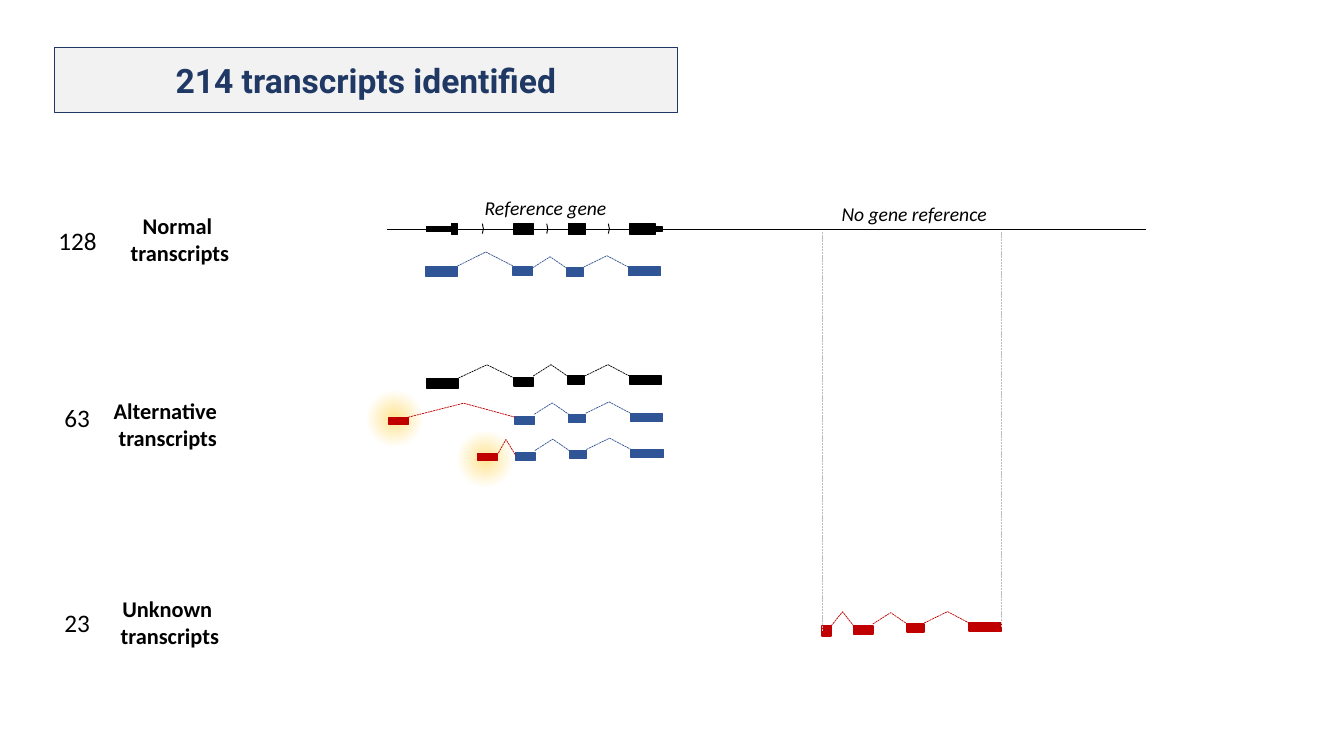
from dataclasses import dataclass

import pptx
import pptx.dml.color
import pptx.enum.dml
import pptx.enum.shapes
import pptx.enum.text
import pptx.oxml
import pptx.oxml.ns
import pptx.util

Pt = pptx.util.Pt
RGBColor = pptx.dml.color.RGBColor
Shape = pptx.enum.shapes.MSO_SHAPE
Align = pptx.enum.text.PP_ALIGN
AutoSize = pptx.enum.text.MSO_AUTO_SIZE

BLACK = RGBColor(0x00, 0x00, 0x00)
RED = RGBColor(0xC0, 0x00, 0x00)
BLUE = RGBColor(0x2F, 0x55, 0x97)
INTRON_BLUE = RGBColor(0x32, 0x54, 0x91)
NAVY = RGBColor(0x20, 0x38, 0x64)
PALE = RGBColor(0xF2, 0xF2, 0xF2)
GREY = RGBColor(0xBF, 0xBF, 0xBF)

EXON_OFFSETS = (0, 38.2, 82.4)
EXON_WIDTHS = (13.7, 12.2, 23)
EXON_HEIGHT = 5.8
INTRON_RISE = 8.1
GENE_Y = 163.6

COUNT_STYLE = {"name": "Calibri", "size": Pt(18)}
LABEL_STYLE = {"name": "Calibri", "size": Pt(16), "bold": True}
REGION_STYLE = {"name": "Calibri", "size": Pt(14), "italic": True}
TITLE_STYLE = {"name": "Roboto", "size": Pt(24), "bold": True}


@dataclass
class Box:
    left: float
    top: float
    width: float
    height: float


@dataclass
class Transcript:
    first_exon: Box
    first_peak: tuple[float, float]
    first_base: float
    shared_left: float
    shared_tops: tuple[float, float, float]
    color: RGBColor
    first_color: RGBColor


@dataclass
class Category:
    count: str
    count_box: Box
    lines: tuple[str, str]
    label_box: Box


NORMAL = Transcript(Box(303.8, 190.8, 23, 6.5), (347, 180), 190,
                    366.5, (190.8, 191.5, 190.8), BLUE, BLUE)
ANNOTATED = Transcript(Box(304.6, 270.7, 23, 6.5), (347.8, 260.6), 270,
                       367.2, (270, 268.6, 268.6), BLACK, BLACK)
DISTANT_START = Transcript(Box(277.9, 298.1, 13.7, 5), (331.2, 288), 298,
                           368, (297.4, 295.9, 295.2), BLUE, RED)
NEAR_START = Transcript(Box(341.3, 324, 13.7, 5), (361.4, 313.9), 325.4,
                        368.4, (323.3, 321.8, 321.1), BLUE, RED)
UNKNOWN = Transcript(Box(587.2, 447.1, 6.5, 7.2), (601.9, 437), 447.1,
                     609.8, (447.1, 445.7, 445), RED, RED)

GENE_EXONS = (
    Box(304.6, 162, 18, 3.6), Box(322.6, 159.8, 4.3, 7.9),
    Box(367.2, 159.8, 13.7, 7.9), Box(406.1, 159.8, 12.2, 7.9),
    Box(455, 162, 18, 3.6), Box(450, 159.8, 18, 7.9),
)
HALOS = (Box(319, 303.1, 55.4, 49.7), Box(254.2, 274.3, 55.4, 49.7))
DIRECTION_MARKS = (344.2, 390.2, 434.2)

CATEGORIES = (
    Category("128", Box(34.6, 157.7, 42.5, 28.8),
             ("Normal ", "transcripts"), Box(85.7, 148.3, 85.7, 46.1)),
    Category("63", Box(38.9, 283.7, 33.1, 28.8),
             ("Alternative ", "transcripts"), Box(73.4, 280.1, 92.9, 46.1)),
    Category("23", Box(38.9, 430.6, 33.1, 28.8),
             ("Unknown ", "transcripts"), Box(78.5, 421.9, 85.7, 46.1)),
)


def style_font(font, style: dict, color: RGBColor) -> None:
    for attribute, value in style.items():
        setattr(font, attribute, value)
    font.color.rgb = color


def draw_shape(slide, kind, box: Box, color: RGBColor, outlined: bool = True):
    shape = slide.shapes.add_shape(
        kind, Pt(box.left), Pt(box.top), Pt(box.width), Pt(box.height))
    shape.shadow.inherit = False
    shape.fill.solid()
    shape.fill.fore_color.rgb = color
    if outlined:
        shape.line.color.rgb = color
        shape.line.width = Pt(1)
    else:
        shape.line.fill.background()
    return shape


def draw_halo(slide, box: Box) -> None:
    halo = draw_shape(slide, Shape.OVAL, box, PALE, outlined=False)
    stops = "".join(
        f'<a:gs pos="{position}"><a:srgbClr val="{color}"/></a:gs>'
        for position, color in ((0, "FFE491"), (56000, "FFFFFF"), (100000, "FFFFFF")))
    gradient = pptx.oxml.parse_xml(
        f'<a:gradFill {pptx.oxml.ns.nsdecls("a")}><a:gsLst>{stops}</a:gsLst>'
        '<a:path path="circle"><a:fillToRect l="50000" t="50000" r="50000" b="50000"/>'
        '</a:path></a:gradFill>')
    properties = halo._element.spPr
    solid = properties.find(pptx.oxml.ns.qn("a:solidFill"))
    properties.replace(solid, gradient)


def style_line(line, color: RGBColor, dashed: bool = True) -> None:
    line.color.rgb = color
    line.width = Pt(0.5)
    if dashed:
        line.dash_style = pptx.enum.dml.MSO_LINE.SQUARE_DOT


def draw_line(slide, start: tuple, end: tuple, color: RGBColor, dashed: bool):
    line = slide.shapes.add_connector(
        pptx.enum.shapes.MSO_CONNECTOR.STRAIGHT, *map(Pt, start + end))
    style_line(line.line, color, dashed)
    line._element.spPr.append(
        pptx.oxml.parse_xml(f'<a:effectLst {pptx.oxml.ns.nsdecls("a")}/>'))
    return line


def draw_intron(slide, start: float, peak: tuple, end: float, base: float, color: RGBColor) -> None:
    builder = slide.shapes.build_freeform(Pt(start), Pt(base))
    builder.add_line_segments(
        [(Pt(peak[0]), Pt(peak[1])), (Pt(end), Pt(base))], close=False)
    intron = builder.convert_to_shape()
    intron.shadow.inherit = False
    intron.fill.background()
    style_line(intron.line, INTRON_BLUE if color == BLUE else color)


def draw_transcript(slide, transcript: Transcript) -> list:
    first = transcript.first_exon
    shared = [Box(transcript.shared_left + offset, top, width, EXON_HEIGHT)
              for offset, top, width in zip(EXON_OFFSETS, transcript.shared_tops, EXON_WIDTHS)]
    exons = [draw_shape(slide, Shape.RECTANGLE, first, transcript.first_color)]
    exons += [draw_shape(slide, Shape.RECTANGLE, box, transcript.color) for box in shared]
    draw_intron(slide, first.left + first.width, transcript.first_peak,
                transcript.shared_left, transcript.first_base, transcript.first_color)
    for before, after in zip(shared, shared[1:]):
        start = before.left + before.width
        peak = (start + 0.52 * (after.left - start), after.top - INTRON_RISE)
        draw_intron(slide, start, peak, after.left, after.top, transcript.color)
    return exons


def draw_text(slide, box: Box, lines: tuple, style: dict, align=Align.LEFT, wrap: bool = False) -> None:
    frame = slide.shapes.add_textbox(
        Pt(box.left), Pt(box.top), Pt(box.width), Pt(box.height)).text_frame
    frame.word_wrap = wrap
    frame.auto_size = AutoSize.SHAPE_TO_FIT_TEXT
    frame.text = "\n".join(lines)
    for paragraph in frame.paragraphs:
        paragraph.alignment = align
        style_font(paragraph.font, style, BLACK)


def draw_title(slide) -> None:
    title = slide.shapes.title
    placement = {"left": Pt(38.9), "top": Pt(33.8), "width": Pt(445), "height": Pt(46.8)}
    for attribute, value in placement.items():
        setattr(title, attribute, value)
    title.fill.solid()
    title.fill.fore_color.rgb = PALE
    title.line.color.rgb = NAVY
    title.line.width = Pt(1)
    frame = title.text_frame
    frame.text = "214 transcripts identified"
    frame.auto_size = AutoSize.NONE
    frame.vertical_anchor = pptx.enum.text.MSO_ANCHOR.MIDDLE
    frame.paragraphs[0].alignment = Align.CENTER
    style_font(frame.paragraphs[0].font, TITLE_STYLE, NAVY)


def main() -> None:
    deck = pptx.Presentation()
    deck.slide_width, deck.slide_height = Pt(960), Pt(540)
    slide = deck.slides.add_slide(deck.slide_layouts[5])
    draw_title(slide)
    for halo in HALOS:
        draw_halo(slide, halo)
    for transcript in (ANNOTATED, DISTANT_START, NEAR_START):
        draw_transcript(slide, transcript)
    for exon in GENE_EXONS:
        draw_shape(slide, Shape.RECTANGLE, exon, BLACK)
    draw_line(slide, (276.5, GENE_Y), (818.6, GENE_Y), BLACK, dashed=False)
    for left in DIRECTION_MARKS:
        draw_shape(slide, Shape.CHEVRON, Box(left, 159.8, 1.4, 7.2), BLACK, outlined=False)
    draw_text(slide, Box(339.1, 136.1, 118.8, 24.5), ("Reference gene",), REGION_STYLE, wrap=True)
    draw_transcript(slide, NORMAL)
    unknown_exons = draw_transcript(slide, UNKNOWN)
    for exon, side in ((unknown_exons[0], 1), (unknown_exons[-1], 3)):
        guide = draw_line(slide, (exon.left.pt, 450), (exon.left.pt, 165.6), GREY, dashed=True)
        guide.begin_connect(exon, side)
        guide.end_x = guide.begin_x
    draw_text(slide, Box(594, 140.4, 123.8, 24.5), ("No gene reference",), REGION_STYLE, wrap=True)
    for category in CATEGORIES:
        draw_text(slide, category.label_box, category.lines, LABEL_STYLE, Align.CENTER)
        draw_text(slide, category.count_box, (category.count,), COUNT_STYLE)
    deck.save("out.pptx")


if __name__ == "__main__":
    main()
